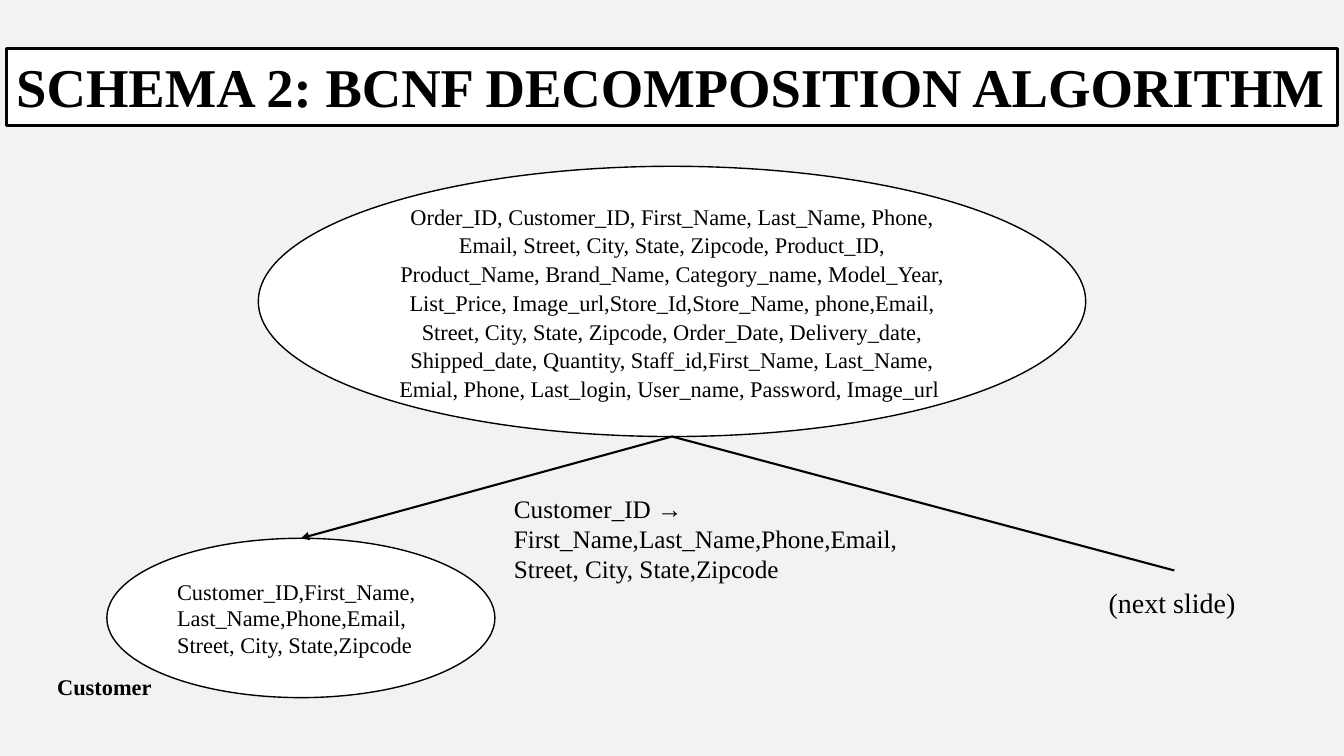
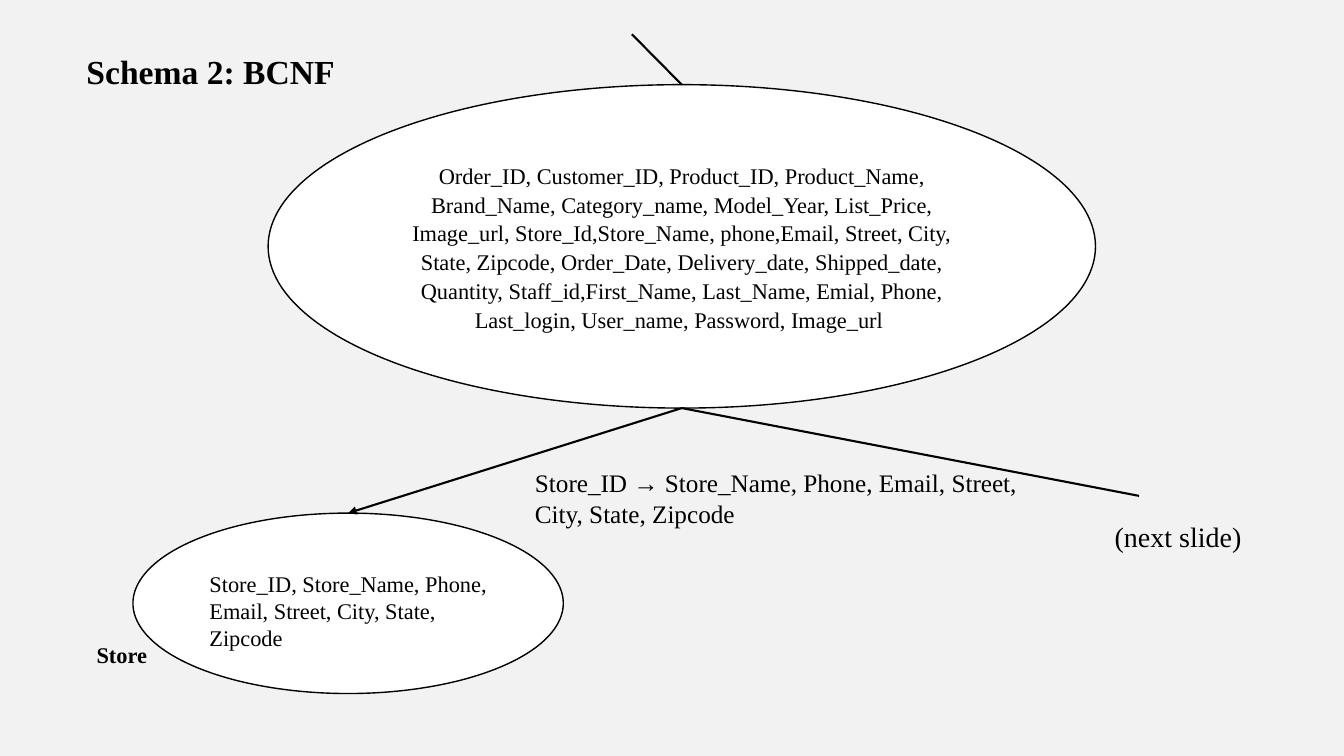
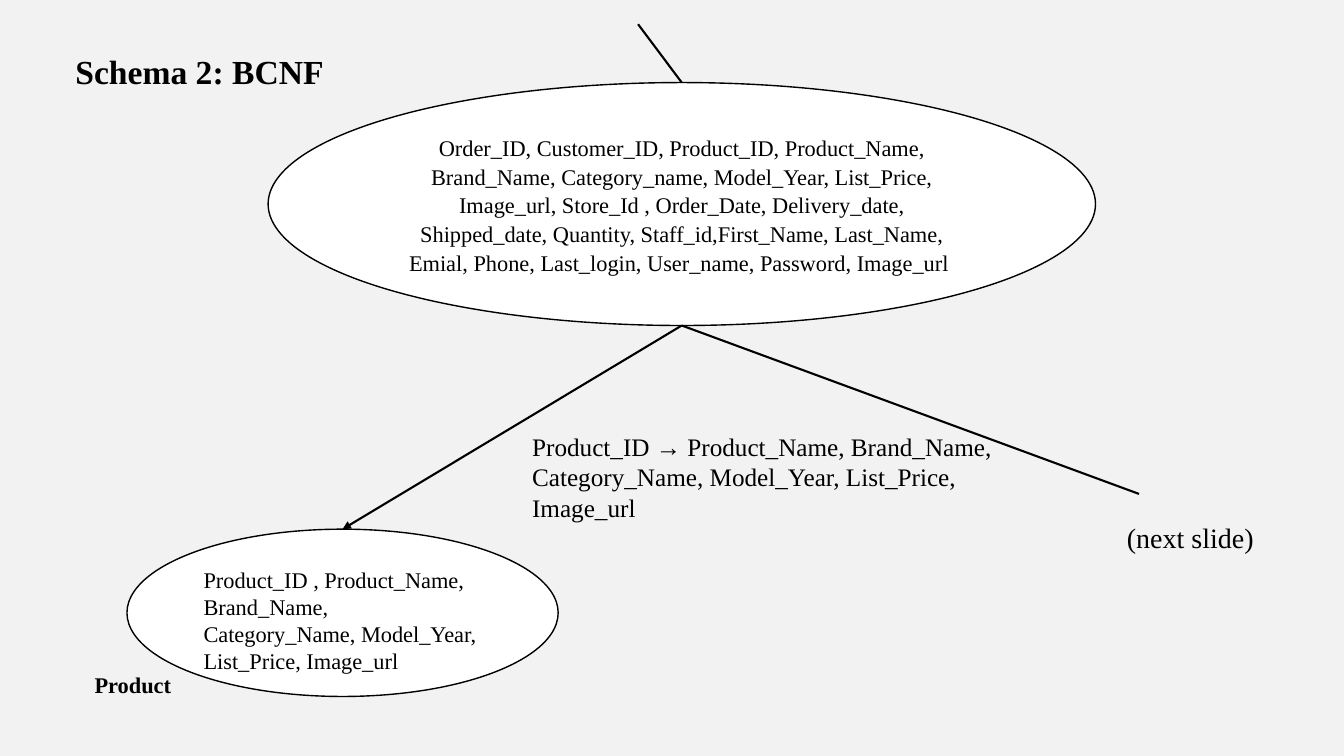
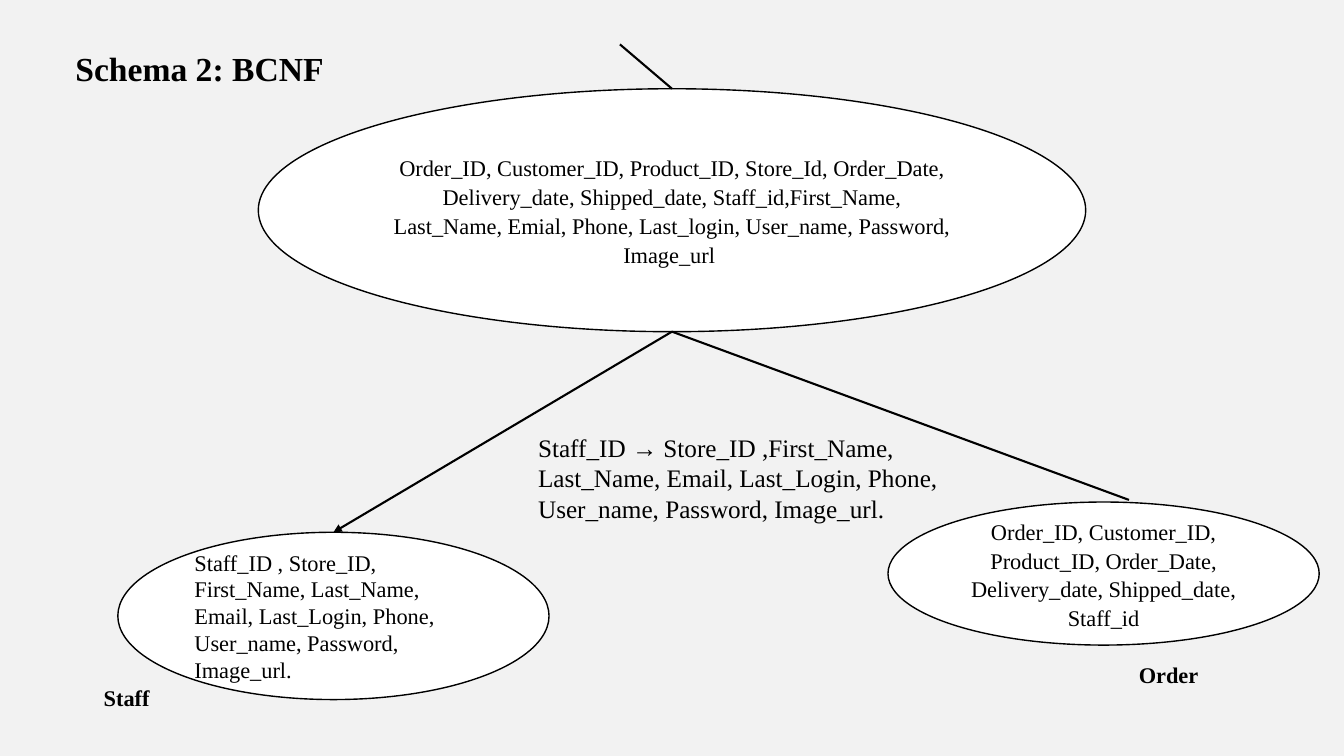
import pptx
import pptx.util
import pptx.dml.color
import pptx.enum.shapes
import pptx.enum.text
import pptx.oxml
import pptx.oxml.ns

Pt = pptx.util.Pt
INK, PAPER, GROUND = "000000", "FFFFFF", "F2F2F2"
FONT = "Times New Roman"
ROOT_WIDTH = 591
TOP, BOTTOM = 0, 4  # connection sites of an ellipse
TITLE, HEADING, NEXT, RULE, BODY = 39, 24, 20, 18, 16  # text sizes
OVAL = pptx.enum.shapes.MSO_SHAPE.OVAL
RECTANGLE = pptx.enum.shapes.MSO_SHAPE.RECTANGLE
STRAIGHT = pptx.enum.shapes.MSO_CONNECTOR.STRAIGHT
colour = pptx.dml.color.RGBColor.from_string


def write(shape, text, size, bold=False, centred=False):
    frame = shape.text_frame
    frame.word_wrap = True
    for number, line in enumerate(text.split("\n")):
        para = frame.add_paragraph() if number else frame.paragraphs[0]
        para.alignment = pptx.enum.text.PP_ALIGN.CENTER if centred else pptx.enum.text.PP_ALIGN.LEFT
        if centred:
            para.line_spacing = 1.07
            para.space_after = Pt(10.7)
        span = para.add_run()
        span.text = line
        span.font.name = FONT
        span.font.size = Pt(size)
        span.font.bold = bold
        span.font.color.rgb = colour(INK)


def add_outlined(page, kind, place, weight):
    shape = page.shapes.add_shape(kind, *map(Pt, place))
    shape.shadow.inherit = False
    shape.fill.solid()
    shape.fill.fore_color.rgb = colour(PAPER)
    shape.line.color.rgb = colour(INK)
    shape.line.width = Pt(weight)
    return shape


# Content. root: centre, top, height, text; child: place, extra top inset, text;
# labels: left, top, width, height, size, text. Places are in points.
STEPS = [
    {
        "root": (480, 118.8, 193,
                 "Order_ID, Customer_ID, First_Name, Last_Name, Phone, Email, Street, City, State, "
                 "Zipcode, Product_ID, Product_Name, Brand_Name, Category_name, Model_Year, "
                 "List_Price, Image_url,Store_Id,Store_Name, phone,Email, Street, City, State, "
                 "Zipcode, Order_Date, Delivery_date, Shipped_date, Quantity, Staff_id,First_Name, "
                 "Last_Name, Emial, Phone, Last_login, User_name, Password, Image_url "),
        "child": ((76.3, 384.5, 277.2, 113.8), 0,
                  "Customer_ID,First_Name,Last_Name,Phone,Email,\nStreet, City, State,Zipcode"),
        "branch_end": (838.8, 407.5),
        "labels": [
            (784.8, 414.7, 130, 31.5, NEXT, "(next slide)"),
            (360, 348.5, 294, 72.7, RULE,
             "Customer_ID → First_Name,Last_Name,Phone,Email,Street, City, State,Zipcode"),
            (33.8, 477.4, 151, 26.6, BODY, "Customer"),
        ],
    },
    {
        "root": (487, 60.5, 231,
                 "Order_ID, Customer_ID, Product_ID, Product_Name, Brand_Name, Category_name, "
                 "Model_Year, List_Price, Image_url, Store_Id,Store_Name, phone,Email, Street, "
                 "City, State, Zipcode, Order_Date, Delivery_date, Shipped_date, Quantity, "
                 "Staff_id,First_Name, Last_Name, Emial, Phone, Last_login, User_name, Password, "
                 "Image_url "),
        "child": ((95, 366.5, 307.4, 128.9), 10.7,
                  "Store_ID, Store_Name, Phone, Email, Street, City, State, Zipcode"),
        "branch_end": (813.6, 354.2),
        "stub_end": (451.4, 24.5),
        "labels": [
            (789.1, 367.2, 130, 31.5, NEXT, "(next slide)"),
            (375, 330.5, 362, 51, RULE,
             "Store_ID → Store_Name, Phone, Email, Street, City, State, Zipcode"),
            (54.7, 33.1, 194, 36, HEADING, "Schema 2: BCNF"),
            (61.9, 454.3, 103, 46, BODY, "Store"),
        ],
    },
    {
        "root": (487, 59, 173.5,
                 "Order_ID, Customer_ID, Product_ID, Product_Name, Brand_Name, Category_name, "
                 "Model_Year, List_Price, Image_url, Store_Id , Order_Date, Delivery_date, "
                 "Shipped_date, Quantity, Staff_id,First_Name, Last_Name, Emial, Phone, "
                 "Last_login, User_name, Password, Image_url "),
        "child": ((90.7, 378, 308, 119.5), 10.7,
                  "Product_ID , Product_Name, Brand_Name, Category_Name, Model_Year, "
                  "List_Price, Image_url"),
        "branch_end": (813.6, 352.8),
        "stub_end": (455.8, 17.3),
        "labels": [
            (797.8, 368, 130, 31.5, NEXT, "(next slide)"),
            (373, 304.6, 362, 72.7, RULE,
             "Product_ID → Product_Name, Brand_Name, Category_Name, Model_Year, "
             "List_Price, Image_url"),
            (46.8, 33.1, 235, 58, HEADING, "Schema 2: BCNF"),
            (60.5, 476, 103, 26.6, BODY, "Product"),
        ],
    },
    {
        "root": (480, 63.4, 173.5,
                 "Order_ID, Customer_ID, Product_ID, Store_Id, Order_Date, Delivery_date, "
                 "Shipped_date, Staff_id,First_Name, Last_Name, Emial, Phone, Last_login, "
                 "User_name, Password, Image_url "),
        "child": ((84.2, 380.2, 308, 119.5), 0,
                  "Staff_ID , Store_ID, First_Name, Last_Name, Email, Last_Login, Phone, "
                  "User_name, Password, Image_url."),
        "branch_end": (806.4, 357.1),
        "stub_end": (442.8, 31.7),
        "remainder": ((634.3, 358.6, 308, 102.2),
                      "Order_ID, Customer_ID, Product_ID, Order_Date, Delivery_date, "
                      "Shipped_date, Staff_id"),
        "labels": [
            (377.3, 305.3, 338.4, 75, RULE,
             "Staff_ID → Store_ID ,First_Name, Last_Name, Email, Last_Login, Phone, "
             "User_name, Password, Image_url."),
            (46.8, 31, 194, 58, HEADING, "Schema 2: BCNF"),
            (806.4, 468.7, 103, 26.6, BODY, "Order"),
            (67, 485.3, 103, 26.6, BODY, "Staff"),
        ],
    },
]

# Deck and shared background
deck = pptx.Presentation()
deck.slide_width, deck.slide_height = Pt(960), Pt(540)
background = deck.slide_master.background.fill
background.solid()
background.fore_color.rgb = colour(GROUND)

for step in STEPS:
    page = deck.slides.add_slide(deck.slide_layouts[6])

    # Relations
    centre, top, height, attributes = step["root"]
    child_place, extra_inset, child_text = step["child"]
    relations = [
        ((centre - ROOT_WIDTH / 2, top, ROOT_WIDTH, height), 0, attributes, True),
        (child_place, extra_inset, child_text, False),
    ]
    if "remainder" in step:
        place, text = step["remainder"]
        relations.append((place, 0, text, True))
    ellipses = []
    for place, inset, text, centred in relations:
        ellipse = add_outlined(page, OVAL, place, 1)
        frame = ellipse.text_frame
        frame.vertical_anchor = pptx.enum.text.MSO_ANCHOR.MIDDLE
        frame.margin_left = frame.margin_right = Pt(9.6)
        frame.margin_top, frame.margin_bottom = Pt(4.8 + inset), Pt(4.8)
        write(ellipse, text, BODY, centred=centred)
        ellipses.append(ellipse)
    root, child = ellipses[:2]

    # Branches: to the child, to the rest, and up to the slide before
    left, child_top, width, _ = child_place
    branches = [
        (BOTTOM, (left + width / 2, child_top), child),
        (BOTTOM, step["branch_end"], None),
    ]
    if "stub_end" in step:
        branches.append((TOP, step["stub_end"], None))
    for site, end, target in branches:
        start_y = top + height if site == BOTTOM else top
        branch = page.shapes.add_connector(STRAIGHT, *map(Pt, (centre, start_y, *end)))
        branch.line.color.rgb = colour(INK)
        branch.line.width = Pt(1.5)
        # begin_connect knows four sides; an ellipse numbers its bottom 4
        branch.begin_connect(root, 2 if site == BOTTOM else 0)
        branch._element.xpath(".//a:stCxn")[0].set("idx", str(site))
        properties = branch._element.spPr
        if target is not None:
            branch.end_connect(target, TOP)
            outline = properties.find(pptx.oxml.ns.qn("a:ln"))
            outline.append(pptx.oxml.parse_xml(
                f'<a:tailEnd {pptx.oxml.ns.nsdecls("a")} type="triangle"/>'))
        properties.append(pptx.oxml.parse_xml(f'<a:effectLst {pptx.oxml.ns.nsdecls("a")}/>'))

    # Labels
    for *place, size, text in step["labels"]:
        box = page.shapes.add_textbox(*map(Pt, place))
        box.text_frame.auto_size = pptx.enum.text.MSO_AUTO_SIZE.SHAPE_TO_FIT_TEXT
        write(box, text, size, bold=size in (HEADING, BODY))

# Title band of the first slide
title = add_outlined(deck.slides[0], RECTANGLE, (4.5, 34.5, 951, 55.5), 2.25)
title.text_frame.vertical_anchor = pptx.enum.text.MSO_ANCHOR.TOP
title.text_frame.auto_size = pptx.enum.text.MSO_AUTO_SIZE.SHAPE_TO_FIT_TEXT
write(title, "SCHEMA 2: BCNF DECOMPOSITION ALGORITHM", TITLE, bold=True)

deck.save("out.pptx")
